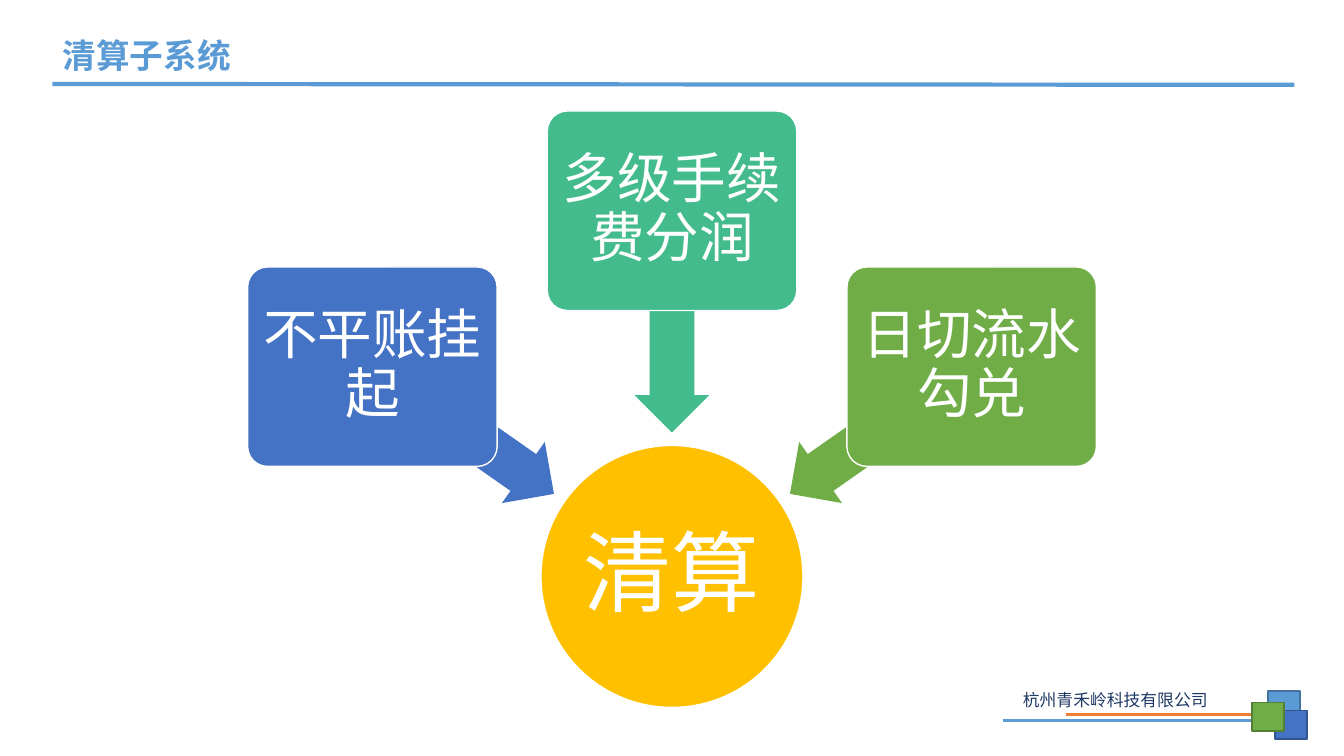
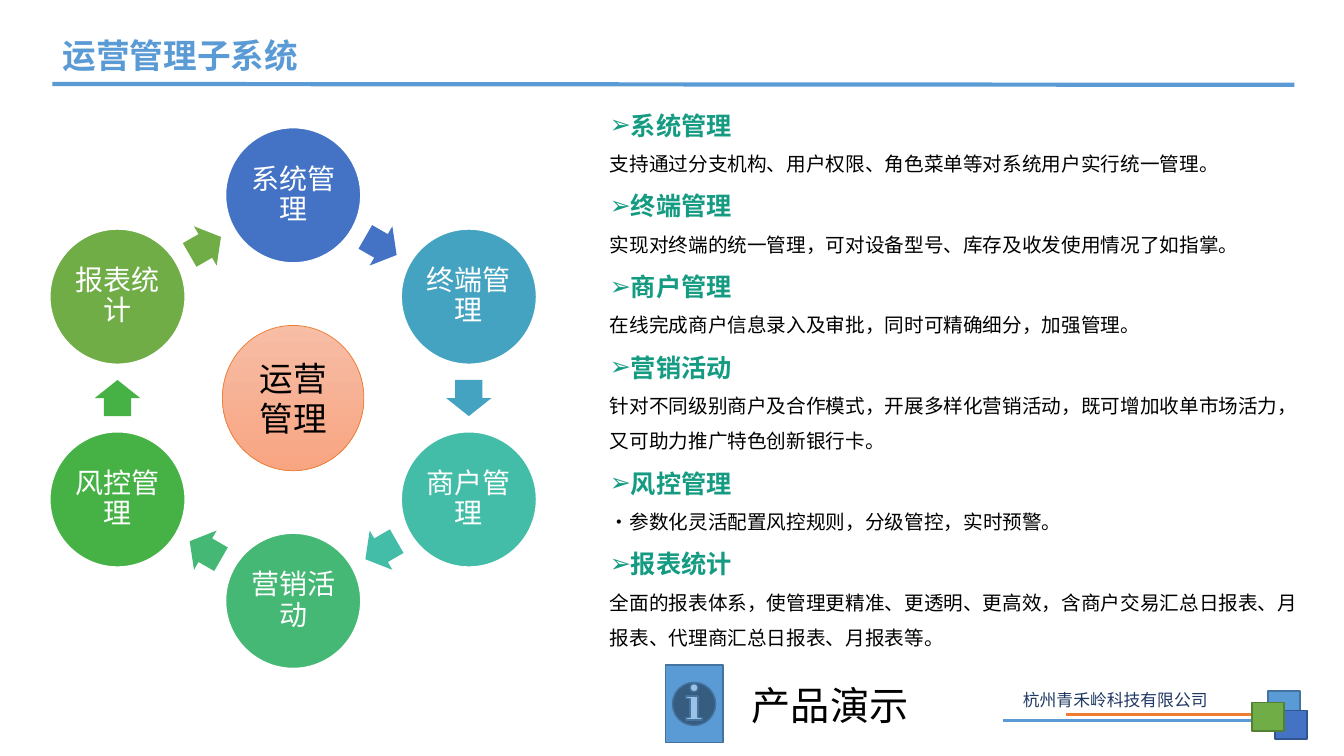
import math

from lxml import etree
from pptx import Presentation
from pptx import util as u
from pptx.dml.color import RGBColor
from pptx.enum import shapes, text
from pptx.oxml.ns import qn

# The slide is a grid of 32 square columns by 18 rows.
SLIDE_WIDTH, SLIDE_HEIGHT = u.Inches(13.33), u.Inches(7.5)
COLUMNS = 32
TITLE_ONLY, TITLE_AND_BODY = 5, 1

CJK_FONT, LATIN_FONT = "Noto Sans CJK SC", "Calibri"
SKY, BLUE, GREEN, ORANGE = "5B9BD5", "4472C4", "70AD47", "ED7D31"
MINT, GOLD, TEAL, NAVY = "43BB8D", "FFC000", "149B82", "203864"
WHITE, BLACK = "FFFFFF", "000000"
SKY_EDGE, BLUE_EDGE, GREEN_EDGE = "43739E", "325491", "538035"

COMPANY = "杭州青禾岭科技有限公司"
FEEDS = [("不平账挂起", 215, BLUE), ("多级手续费分润", 270, MINT), ("日切流水勾兑", 325, GREEN)]
MODULES = [
    ("系统管理", BLUE, "支持通过分支机构、用户权限、角色菜单等对系统用户实行统一管理。"),
    ("终端管理", "44A3C0", "实现对终端的统一管理，可对设备型号、库存及收发使用情况了如指掌。"),
    ("商户管理", "43BDA7", "在线完成商户信息录入及审批，同时可精确细分，加强管理。"),
    ("营销活动", "44B874", "针对不同级别商户及合作模式，开展多样化营销活动，"
     "既可增加收单市场活力，又可助力推广特色创新银行卡。"),
    ("风控管理", "46B246", "·参数化灵活配置风控规则，分级管控，实时预警。"),
    ("报表统计", GREEN, "全面的报表体系，使管理更精准、更透明、更高效，"
     "含商户交易汇总日报表、月报表、代理商汇总日报表、月报表等。"),
]


def color(value):
    return RGBColor.from_string(value)


def cells(*counts):
    """Turn grid cells into lengths."""
    return [u.Emu(round(count * SLIDE_WIDTH / COLUMNS)) for count in counts]


def around(center, width, height):
    """Return the box of this size around a centre point."""
    return center[0] - width / 2, center[1] - height / 2, width, height


def polar(center, radius, degrees):
    angle = math.radians(degrees)
    return center[0] + radius * math.cos(angle), center[1] + radius * math.sin(angle)


def add_run(paragraph, words, size, ink, bold=False, font=CJK_FONT):
    run = paragraph.add_run()
    run.text = words
    run.font.name = font
    run.font.size = u.Pt(size)
    run.font.bold = bold
    run.font.color.rgb = color(ink)
    properties = run._r.get_or_add_rPr()
    properties.set("lang", "zh-CN")
    # East Asian text keeps the line height of the Latin face.
    properties.find(qn("a:latin")).addnext(
        properties.makeelement(qn("a:ea"), {"typeface": LATIN_FONT}))


def set_frame(shape, anchor, inset=None, wrap=True):
    frame = shape.text_frame
    frame.auto_size = text.MSO_AUTO_SIZE.NONE
    frame.word_wrap = wrap
    frame.vertical_anchor = anchor
    if inset is not None:
        frame.margin_left = frame.margin_right = u.Inches(inset)
        frame.margin_top = frame.margin_bottom = u.Inches(inset)
    return frame


def place(shape, box):
    shape.left, shape.top, shape.width, shape.height = cells(*box)


def add_shape(slide, kind, box, fill, line=None, weight=1, rotation=0, adjustments=()):
    shape = slide.shapes.add_shape(kind, *cells(*box))
    shape.shadow.inherit = False
    shape.rotation = rotation
    for index, adjustment in enumerate(adjustments):
        shape.adjustments[index] = adjustment
    shape.fill.solid()
    shape.fill.fore_color.rgb = color(fill)
    if line:
        shape.line.color.rgb = color(line)
        shape.line.width = u.Pt(weight)
    else:
        shape.line.fill.background()
    return shape


def add_label(shape, words, size, ink=WHITE, inset=0.03, spacing=0.9, font=CJK_FONT):
    frame = set_frame(shape, text.MSO_ANCHOR.MIDDLE, inset)
    paragraph = frame.paragraphs[0]
    paragraph.alignment = text.PP_ALIGN.CENTER
    paragraph.line_spacing = spacing
    add_run(paragraph, words, size, ink, font=font)


def add_text(slide, box, words, size, ink, wrap=True, align=text.PP_ALIGN.LEFT):
    label = slide.shapes.add_textbox(*cells(*box))
    paragraph = set_frame(label, text.MSO_ANCHOR.TOP, wrap=wrap).paragraphs[0]
    paragraph.alignment = align
    add_run(paragraph, words, size, ink)


def add_line(slide, ends, ink, weight):
    line = slide.shapes.add_connector(shapes.MSO_CONNECTOR.STRAIGHT, *cells(*ends))
    line.line.color.rgb = color(ink)
    line.line.width = u.Pt(weight)
    etree.SubElement(line._element.spPr, qn("a:effectLst"))


def add_footer(slide):
    add_line(slide, (25.37, 17.02, 29.81, 17.02), ORANGE, 2.25)
    add_line(slide, (23.88, 17.16, 29.81, 17.16), SKY, 2.25)
    add_text(slide, (24.12, 16.32, 5.33, 0.72), COMPANY, 12, NAVY)
    for left, top, fill, edge in [(30.19, 16.46, SKY, SKY_EDGE),
                                  (30.36, 16.92, BLUE, BLUE_EDGE),
                                  (29.81, 16.73, GREEN, GREEN_EDGE)]:
        add_shape(slide, shapes.MSO_SHAPE.RECTANGLE, (left, top, 0.76, 0.68), fill, edge)


def add_slide(presentation, layout, title):
    """Add a slide with the shared title, rule and footer."""
    slide = presentation.slides.add_slide(presentation.slide_layouts[layout])
    place(slide.shapes.title, (1.25, 0.7, 20, 1.2))
    paragraph = set_frame(slide.shapes.title, text.MSO_ANCHOR.MIDDLE).paragraphs[0]
    paragraph.alignment = text.PP_ALIGN.LEFT
    add_run(paragraph, title, 24, SKY, bold=True)
    add_line(slide, (1.25, 2, 30.82, 2.02), SKY, 3)
    add_footer(slide)
    return slide


def add_converging_feeds(slide, hub):
    circle = add_shape(slide, shapes.MSO_SHAPE.OVAL, around(hub, 6.24, 6.24), GOLD, WHITE)
    add_label(circle, "清算", 63, inset=0.04, font=LATIN_FONT)
    for words, angle, fill in FEEDS:
        add_shape(slide, shapes.MSO_SHAPE.LEFT_ARROW,
                  around(polar(hub, 6.07, angle), 5.28, 1.78), fill,
                  rotation=angle, adjustments=(0.6, 0.5))
        card = add_shape(slide, shapes.MSO_SHAPE.ROUNDED_RECTANGLE,
                         around(polar(hub, 8.71, angle), 5.94, 4.75), fill, WHITE,
                         adjustments=(0.1,))
        add_label(card, words, 39, inset=0.08, font=LATIN_FONT)


def add_module_cycle(slide, center, radius):
    step = 360 / len(MODULES)
    arrow_radius = radius * math.cos(math.radians(step / 2))
    for index, (words, fill, _) in enumerate(MODULES):
        angle = index * step - 90
        node = add_shape(slide, shapes.MSO_SHAPE.OVAL,
                         around(polar(center, radius, angle), 3.22, 3.22), fill, WHITE)
        add_label(node, words, 20)
        middle = angle + step / 2
        add_shape(slide, shapes.MSO_SHAPE.RIGHT_ARROW,
                  around(polar(center, arrow_radius, middle), 0.86, 1.08), fill,
                  rotation=(middle + 90) % 360, adjustments=(0.6, 0.5))
    core = add_shape(slide, shapes.MSO_SHAPE.OVAL, around(center, 3.37, 3.46),
                     "F5B196", ORANGE, 0.5)
    core.fill.gradient()
    core.fill.gradient_angle = 270
    for stop, shade in zip(core.fill.gradient_stops, ("F7BDA5", "F8A582")):
        stop.color.rgb = color(shade)
    add_label(core, "运营管理", 24, BLACK, inset=0.1, spacing=1.0)


def set_bullet(paragraph, character=None):
    properties = paragraph._p.get_or_add_pPr()
    hanging = u.Inches(0.19) if character else 0
    properties.set("marL", str(hanging))
    properties.set("indent", str(-hanging))
    if character:
        etree.SubElement(properties, qn("a:buChar"), char=character)
    else:
        etree.SubElement(properties, qn("a:buNone"))


def fill_module_list(body):
    place(body, (14.28, 2.14, 17.18, 13.56))
    frame = set_frame(body, text.MSO_ANCHOR.TOP)
    entries = [entry for name, _, description in MODULES
               for entry in ((name, 18, TEAL, True, "➢"),
                             (description, 14, BLACK, False, None))]
    for index, (words, size, ink, bold, bullet) in enumerate(entries):
        paragraph = frame.add_paragraph() if index else frame.paragraphs[0]
        paragraph.alignment = text.PP_ALIGN.LEFT
        paragraph.line_spacing = 1.5
        paragraph.space_before = paragraph.space_after = u.Pt(0)
        set_bullet(paragraph, bullet)
        add_run(paragraph, words, size, ink, bold)


def main():
    presentation = Presentation()
    presentation.slide_width, presentation.slide_height = SLIDE_WIDTH, SLIDE_HEIGHT

    clearing = add_slide(presentation, TITLE_ONLY, "清算子系统")
    add_converging_feeds(clearing, (16, 13.73))

    operations = add_slide(presentation, TITLE_AND_BODY, "运营管理子系统")
    fill_module_list(operations.placeholders[1])
    add_module_cycle(operations, (6.98, 9.48), 4.83)
    add_shape(operations, shapes.MSO_SHAPE.ACTION_BUTTON_INFORMATION,
              (15.84, 15.84, 1.37, 1.85), SKY, SKY_EDGE)
    add_text(operations, (17.64, 16.1, 4.25, 1.37), "产品演示", 28, BLACK,
             wrap=False, align=text.PP_ALIGN.CENTER)

    presentation.save("out.pptx")


if __name__ == "__main__":
    main()
